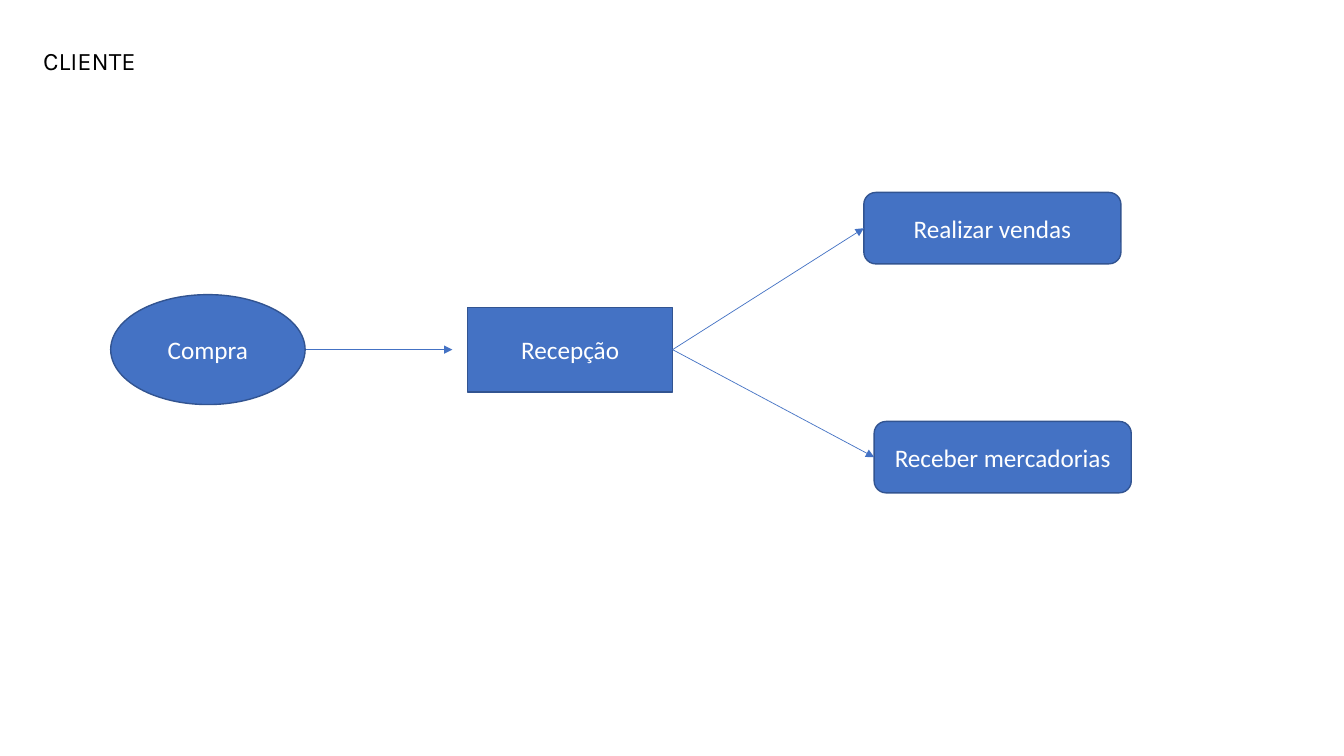
from lxml import etree
from pptx import Presentation
from pptx.dml.color import RGBColor
from pptx.enum.shapes import MSO_CONNECTOR, MSO_SHAPE
from pptx.enum.text import MSO_ANCHOR, MSO_AUTO_SIZE, PP_ALIGN
from pptx.oxml.ns import qn
from pptx.util import Cm, Pt

COLORS = {"blue": "4472C4", "outline": "325491", "white": "FFFFFF", "black": "000000"}


def color(name):
    return RGBColor.from_string(COLORS[name])


class FlowSlide:
    text_size = Pt(18)
    node_font, title_font = "Calibri", "Karla"

    def __init__(self, prs):
        self.shapes = prs.slides.add_slide(prs.slide_layouts[6]).shapes

    def label(self, frame, text, font, text_color):
        run = frame.paragraphs[0].add_run()
        run.text = text
        run.font.name = font
        run.font.size = self.text_size
        run.font.color.rgb = color(text_color)

    def title(self, text, left, top, width, height):
        box = self.shapes.add_textbox(Cm(left), Cm(top), Cm(width), Cm(height))
        box.text_frame.word_wrap = False
        box.text_frame.auto_size = MSO_AUTO_SIZE.SHAPE_TO_FIT_TEXT
        self.label(box.text_frame, text, self.title_font, "black")

    def node(self, kind, text, left, middle, width, height):
        """Add a filled node centred vertically on middle."""
        node = self.shapes.add_shape(
            kind, Cm(left), Cm(middle - height / 2), Cm(width), Cm(height))
        node.shadow.inherit = False
        node.fill.solid()
        node.fill.fore_color.rgb = color("blue")
        node.line.color.rgb = color("outline")
        node.line.width = Pt(1)
        frame = node.text_frame
        frame.word_wrap = True
        frame.vertical_anchor = MSO_ANCHOR.MIDDLE
        frame.paragraphs[0].alignment = PP_ALIGN.CENTER
        self.label(frame, text, self.node_font, "white")

    def arrow(self, start, end):
        arrow = self.shapes.add_connector(
            MSO_CONNECTOR.STRAIGHT, *(Cm(value) for value in start + end))
        arrow.line.color.rgb = color("blue")
        arrow.line.width = Pt(0.5)
        properties = arrow.element.spPr
        etree.SubElement(properties.find(qn("a:ln")), qn("a:tailEnd"), type="triangle")
        etree.SubElement(properties, qn("a:effectLst"))


prs = Presentation()
prs.slide_width, prs.slide_height = Cm(33.87), Cm(19.05)
slide = FlowSlide(prs)

# Title
slide.title("CLIENTE", 0.84, 1.02, 2.84, 1.02)

# Purchase leading to reception, on one axis
axis = 8.81
reception_left, reception_width = 11.79, 5.16
slide.arrow((6.02, axis), (11.4, axis))
slide.node(MSO_SHAPE.OVAL, "Compra", 2.79, axis, 4.9, 2.77)
slide.node(MSO_SHAPE.RECTANGLE, "Recepção", reception_left, axis, reception_width, 2.13)

# Reception branching into its two tasks
fork = (reception_left + reception_width, axis)
for task, left, middle in (("Realizar vendas", 21.77, 5.75),
                           ("Receber mercadorias", 22.03, 11.52)):
    slide.node(MSO_SHAPE.ROUNDED_RECTANGLE, task, left, middle, 6.48, 1.8)
    slide.arrow(fork, (left, middle))

prs.save("out.pptx")
